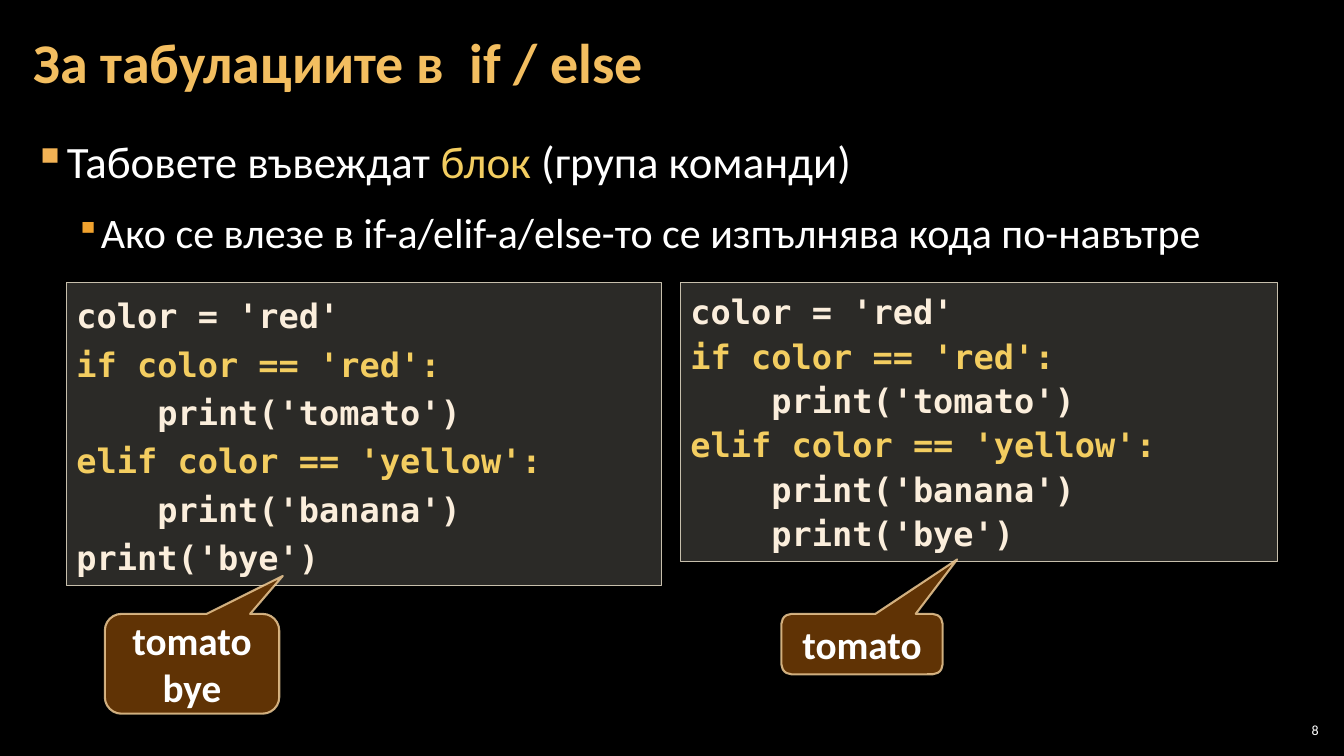
import pptx
import pptx.util
import pptx.dml.color
import pptx.enum.shapes
import pptx.enum.text
import pptx.oxml.ns
from lxml import etree

Inches = pptx.util.Inches
Pt = pptx.util.Pt
Anchor = pptx.enum.text.MSO_ANCHOR
Align = pptx.enum.text.PP_ALIGN
Shape = pptx.enum.shapes.MSO_SHAPE

HUES = {
    "back": "000000", "white": "FFFFFF", "title": "F3BE60", "gold": "F3CD60",
    "cream": "FBEEDC", "panel": "D9D5C7", "edge": "C7BFAC",
    "brown": "663606", "rim": "F8D49E", "dot": "F2B254", "subdot": "F0A22E",
}


class Deck:
    font = "Calibri"
    mono = "DejaVu Sans Mono"

    def __init__(self):
        self.show = pptx.Presentation()
        self.show.slide_width = Inches(13.33)
        self.show.slide_height = Inches(7.5)
        self.slide = self.show.slides.add_slide(self.show.slide_layouts[5])
        self.paint(self.slide.background.fill, "back")

    def rgb(self, hue):
        return pptx.dml.color.RGBColor.from_string(HUES[hue])

    def add(self, parent, tag, **attrs):
        node = etree.SubElement(parent, pptx.oxml.ns.qn(tag))
        for key, value in attrs.items():
            node.set(key, str(value))
        return node

    def paint(self, fill, hue, alpha=100):
        fill.solid()
        fill.fore_color.rgb = self.rgb(hue)
        if alpha < 100:
            tint = fill._xPr.find(".//" + pptx.oxml.ns.qn("a:srgbClr"))
            self.add(tint, "a:alpha", val=alpha * 1000)

    def frame(self, shape, anchor, side=0.1, edge=0.05):
        text = shape.text_frame
        text.word_wrap = True
        text.auto_size = pptx.enum.text.MSO_AUTO_SIZE.NONE
        text.vertical_anchor = anchor
        text.margin_left = text.margin_right = Inches(side)
        text.margin_top = text.margin_bottom = Inches(edge)
        return text

    def style(self, run, size, hue, bold=False, font=None):
        run.font.size = Pt(size)
        run.font.name = font or self.font
        run.font.bold = bold
        run.font.color.rgb = self.rgb(hue)

    def lines(self, text, rows, size, bold=False, font=None, align=Align.LEFT, space=1.0):
        text.text = "\n".join(words for words, hue in rows)
        for para, (words, hue) in zip(text.paragraphs, rows):
            para.alignment = align
            para.line_spacing = space
            self.style(para.runs[0], size, hue, bold, font)

    def title(self, words):
        shape = self.slide.shapes.title
        shape.left, shape.top = Inches(0.21), Inches(0.04)
        shape.width, shape.height = Inches(10.47), Inches(1.21)
        text = self.frame(shape, Anchor.MIDDLE, 0.12, 0.04)
        self.lines(text, [(words, "title")], 40, True, space=0.9)

    def label(self, box, anchor, side):
        shape = self.slide.shapes.add_textbox(*map(Inches, box))
        return self.frame(shape, anchor, side, 0.04)

    def bullet(self, para, parts, level, size, left, hang, hue, scale):
        para.level = level
        para.line_spacing = 1.05
        para.space_before = para.space_after = Pt(6)
        for words, tone in parts:
            run = para.add_run()
            run.text = words
            self.style(run, size, tone)
        props = para._p.get_or_add_pPr()
        props.set("marL", str(Inches(left)))
        props.set("indent", str(-Inches(hang)))
        self.add(self.add(props, "a:buClr"), "a:srgbClr", val=HUES[hue])
        self.add(props, "a:buSzPct", val=scale * 1000)
        self.add(props, "a:buChar", char="▪")

    def shape(self, kind, box, fill, alpha, line, width, clear=100):
        shape = self.slide.shapes.add_shape(kind, *map(Inches, box))
        shape.shadow.inherit = False
        self.paint(shape.fill, fill, alpha)
        self.paint(shape.line.fill, line, clear)
        shape.line.width = Pt(width)
        return shape

    def code(self, box, rows, space):
        shape = self.shape(Shape.RECTANGLE, box, "panel", 20, "edge", 1)
        text = self.frame(shape, Anchor.TOP)
        self.lines(text, rows, 24, True, self.mono, space=space)

    def callout(self, box, tip, words):
        kind = Shape.ROUNDED_RECTANGULAR_CALLOUT
        shape = self.shape(kind, box, "brown", 95, "rim", 1.5, 80)
        shape.adjustments[0], shape.adjustments[1] = tip
        text = self.frame(shape, Anchor.MIDDLE)
        rows = [(word, "white") for word in words]
        self.lines(text, rows, 28, True, align=Align.CENTER)


def main():
    deck = Deck()
    deck.title("За табулациите в  if / else")

    body = deck.label((0.21, 1.26, 12.91, 6.09), Anchor.TOP, 0.12)
    lead = [("Табовете въвеждат ", "white"), ("блок ", "gold"), ("(група команди)", "white")]
    deck.bullet(body.paragraphs[0], lead, 0, 32, 0.33, 0.33, "dot", 100)
    rule = [("Ако се влезе в if-a/elif-а/else-то се изпълнява кода по-навътре", "white")]
    deck.bullet(body.add_paragraph(), rule, 1, 30, 0.67, 0.25, "subdot", 80)

    page = deck.label((12.65, 7.14, 0.47, 0.21), Anchor.MIDDLE, 0.04)
    deck.lines(page, [("8", "white")], 10, align=Align.RIGHT)

    shared = [
        ("color = 'red'", "cream"),
        ("if color == 'red':", "gold"),
        ("    print('tomato')", "cream"),
        ("elif color == 'yellow':", "gold"),
        ("    print('banana')", "cream"),
    ]
    deck.code((0.66, 2.8, 5.9, 3.01), shared + [("print('bye')", "cream")], 1.2)
    deck.code((6.75, 2.8, 5.92, 2.77), shared + [("    print('bye')", "cream")], 1.1)

    deck.callout((1.04, 6.09, 1.73, 0.99), (0.52, -0.88), ["tomato", "bye"])
    deck.callout((7.75, 6.09, 1.6, 0.6), (0.59, -1.4), ["tomato"])

    deck.show.save("out.pptx")


if __name__ == "__main__":
    main()
